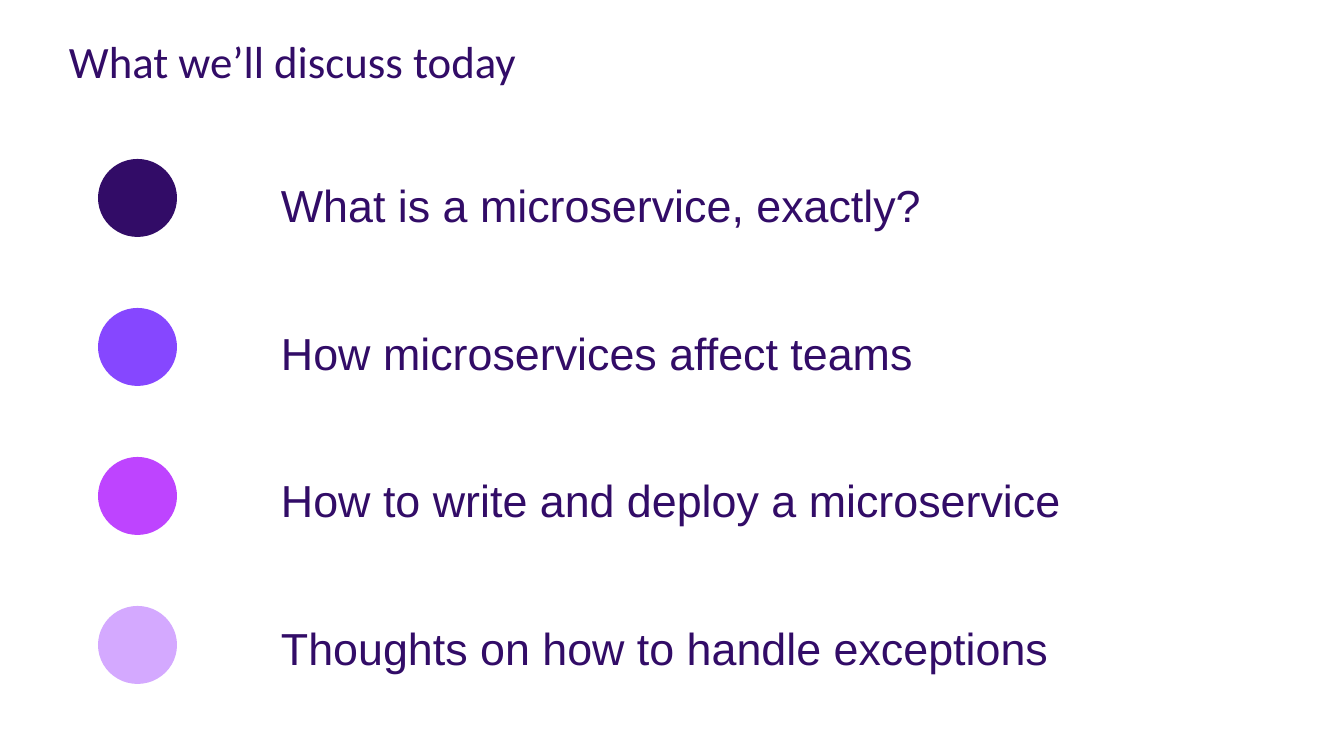
import pptx
import pptx.util
import pptx.dml.color
import pptx.enum.shapes

INK = "320C67"
TOPICS = [
    ("What is a microservice, exactly?", INK),
    ("How microservices affect teams", "8647FF"),
    ("How to write and deploy a microservice", "BE44FF"),
    ("Thoughts on how to handle exceptions", "D4A9FF"),
]


def emu(px):
    return pptx.util.Emu(round(px * 914400 / 134.4))


def paint(color, code):
    color.rgb = pptx.dml.color.RGBColor.from_string(code)


class Page:
    size = 24
    inset = 34

    def __init__(self, deck):
        self.slide = deck.slides.add_slide(deck.slide_layouts[6])

    def text(self, box, lines, font, gap=0):
        """Add one paragraph per line, with gap points between them."""
        frame = self.slide.shapes.add_textbox(*map(emu, box)).text_frame
        frame.word_wrap = True
        frame.margin_left = emu(self.inset)
        frame.margin_top = frame.margin_right = frame.margin_bottom = 0
        frame.text = "\n".join(lines)
        for i, para in enumerate(frame.paragraphs):
            para.font.name = font
            para.font.size = pptx.util.Pt(self.size)
            paint(para.font.color, INK)
            if i:
                para.space_before = pptx.util.Pt(gap)

    def dot(self, box, code):
        kind = pptx.enum.shapes.MSO_SHAPE.OVAL
        shape = self.slide.shapes.add_shape(kind, *map(emu, box))
        shape.shadow.inherit = False
        shape.fill.solid()
        paint(shape.fill.fore_color, code)
        shape.line.fill.background()


def main():
    deck = pptx.Presentation()
    deck.slide_width, deck.slide_height = emu(1344), emu(756)
    page = Page(deck)
    page.text((35, 34, 1101, 126), ["What we’ll discuss today"], "Calibri")
    page.text((247, 178, 915, 516), [name for name, _ in TOPICS], "Arial", 50.25)
    for i, (_, code) in enumerate(TOPICS):
        page.dot((98, 159 + 149 * i, 79, 78), code)
    deck.save("out.pptx")


if __name__ == "__main__":
    main()
